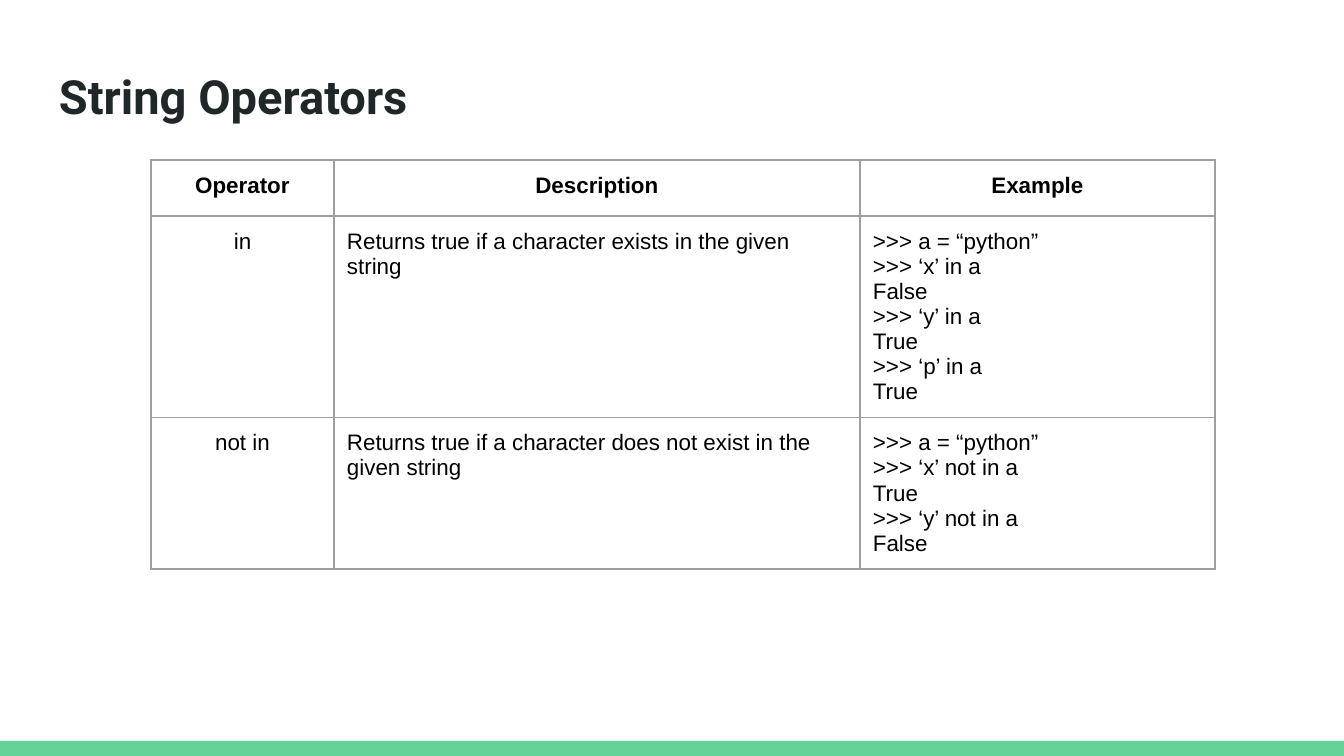
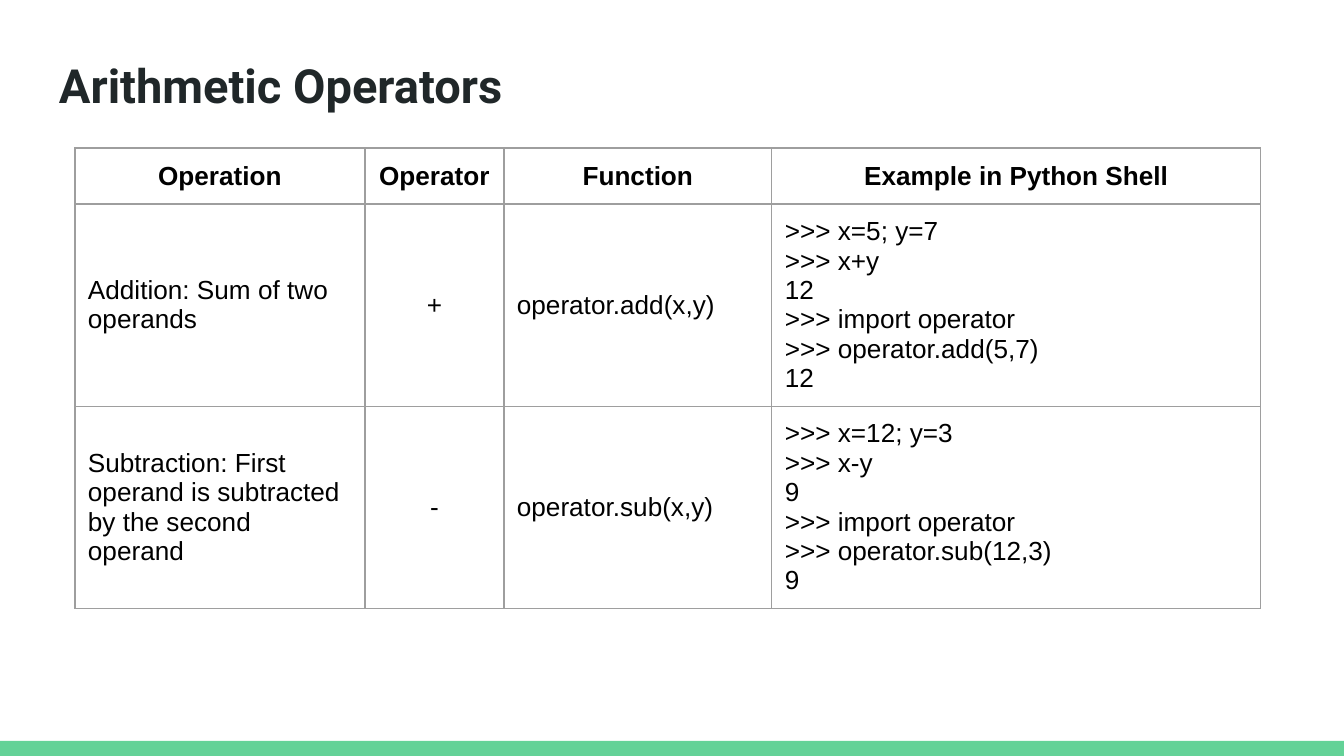
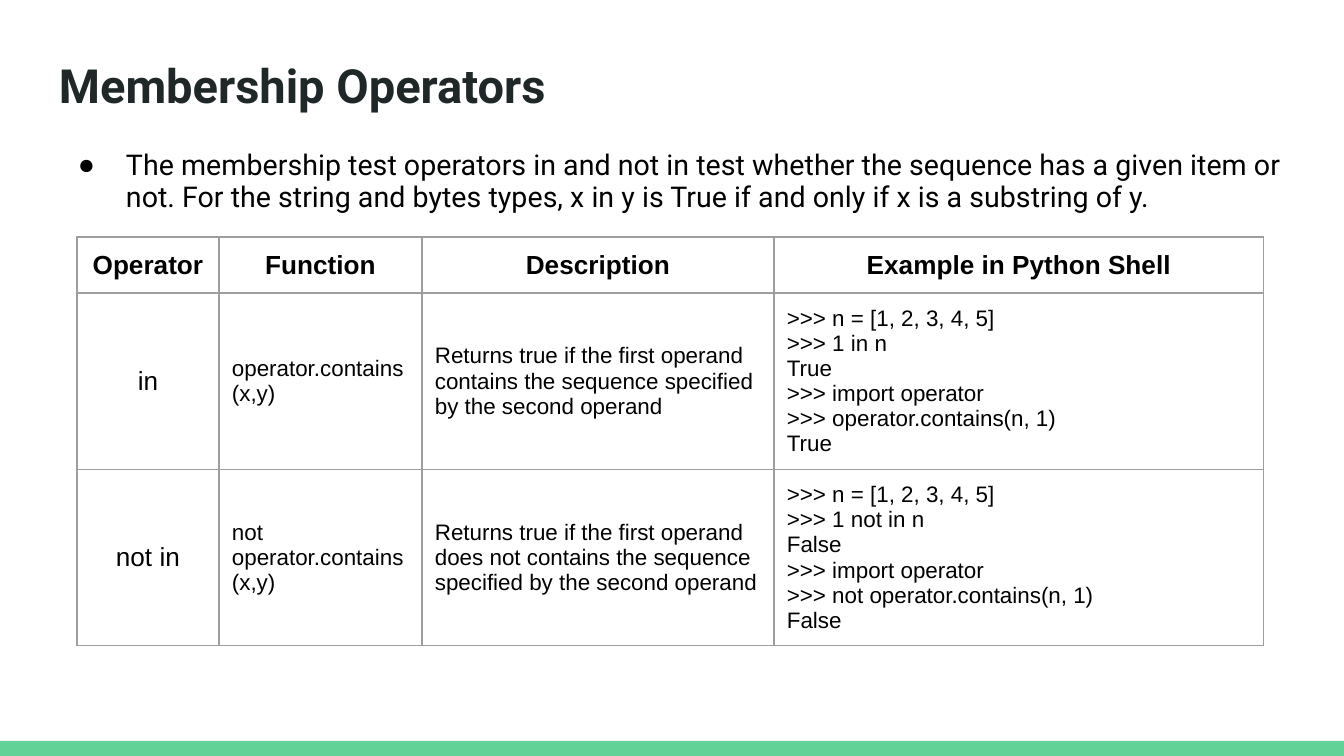
from lxml import etree
from pptx import Presentation
from pptx import util as u
from pptx.dml.color import RGBColor
from pptx.enum import shapes, text
from pptx.oxml.ns import qn

PX = 914400 / 134.4  # EMU in one px
WIDTH, HEIGHT = 1344, 756
BAND_H = 15
MARGIN_X, CONTENT_W = 46, 1253
TITLE_H, BODY_H = 85, 93
ROW_H = 56  # least height; rows grow with their text
INSET = 13

COLORS = {"band": "63D297", "title": "202729", "text": "000000", "border": "9E9E9E"}
FONTS = {"heading": "Roboto", "table": "Arial"}
TITLE_ONLY, TITLE_AND_BODY = 5, 1
MIDDLE, TOP = text.MSO_ANCHOR.MIDDLE, text.MSO_ANCHOR.TOP
LEFT, CENTER = text.PP_ALIGN.LEFT, text.PP_ALIGN.CENTER

# columns: heading, width, body text size, body alignment
SLIDES = [
    {
        "title": "String Operators",
        "title_top": 54,
        "table_at": (151, 160),
        "anchor": TOP,
        "heading_size": 12,
        "columns": [
            ("Operator", 183, 12, CENTER),
            ("Description", 526, 12, LEFT),
            ("Example", 355, 12, LEFT),
        ],
        "rows": [
            ("in", "Returns true if a character exists in the given string",
             ">>> a = “python”\n>>> ‘x’ in a\nFalse\n>>> ‘y’ in a\nTrue\n>>> ‘p’ in a\nTrue"),
            ("not in", "Returns true if a character does not exist in the given string",
             ">>> a = “python”\n>>> ‘x’ not in a\nTrue\n>>> ‘y’ not in a\nFalse"),
        ],
    },
    {
        "title": "Arithmetic Operators",
        "title_top": 43,
        "table_at": (75, 148),
        "anchor": MIDDLE,
        "heading_size": 14,
        "columns": [
            ("Operation", 290, 14, LEFT),
            ("Operator", 139, 14, CENTER),
            ("Function", 268, 14, LEFT),
            ("Example in Python Shell", 489, 14, LEFT),
        ],
        "rows": [
            ("Addition: Sum of two operands", "+", "operator.add(x,y)",
             ">>> x=5; y=7\n>>> x+y\n12\n>>> import operator\n>>> operator.add(5,7)\n12"),
            ("Subtraction: First operand is subtracted by the second operand", "-",
             "operator.sub(x,y)",
             ">>> x=12; y=3\n>>> x-y\n9\n>>> import operator\n>>> operator.sub(12,3)\n9"),
        ],
    },
    {
        "title": "Membership Operators",
        "title_top": 43,
        "body": "The membership test operators in and not in test whether the sequence has "
                "a given item or not. For the string and bytes types, x in y is True if and "
                "only if x is a substring of y.",
        "body_top": 136,
        "table_at": (77, 237),
        "anchor": MIDDLE,
        "heading_size": 14,
        "columns": [
            ("Operator", 142, 14, CENTER),
            ("Function", 203, 12, LEFT),
            ("Description", 352, 12, LEFT),
            ("Example in Python Shell", 490, 12, LEFT),
        ],
        "rows": [
            ("in", "operator.contains(x,y)",
             "Returns true if the first operand contains the sequence specified by the "
             "second operand",
             ">>> n = [1, 2, 3, 4, 5]\n>>> 1 in n\nTrue\n>>> import operator\n"
             ">>> operator.contains(n, 1)\nTrue"),
            ("not in", "not operator.contains(x,y)",
             "Returns true if the first operand does not contains the sequence specified "
             "by the second operand",
             ">>> n = [1, 2, 3, 4, 5]\n>>> 1 not in n\nFalse\n>>> import operator\n"
             ">>> not operator.contains(n, 1)\nFalse"),
        ],
    },
]


def px(n):
    return u.Emu(round(n * PX))


def add_run(p, words, font, size, color, bold=False):
    r = p.add_run()
    r.text = words
    r.font.name, r.font.size, r.font.bold = font, u.Pt(size), bold
    r.font.color.rgb = RGBColor.from_string(COLORS[color])


def place(sp, top, height):
    """Set a placeholder across the content width and return its first paragraph."""
    sp.left, sp.top, sp.width, sp.height = map(px, (MARGIN_X, top, CONTENT_W, height))
    tf = sp.text_frame
    tf.word_wrap = True
    tf.auto_size = text.MSO_AUTO_SIZE.NONE
    tf.vertical_anchor = TOP
    tf.margin_left = tf.margin_top = tf.margin_right = tf.margin_bottom = px(INSET)
    p = tf.paragraphs[0]
    p.alignment = LEFT
    p.space_before = u.Pt(0)
    return p


def add_bullet(p):
    pPr = p._p.get_or_add_pPr()
    pPr.set("marL", str(px(67)))
    pPr.set("indent", str(px(-48)))
    clr = etree.SubElement(pPr, qn("a:buClr"))
    etree.SubElement(clr, qn("a:srgbClr"), val=COLORS["text"])
    etree.SubElement(pPr, qn("a:buChar"), char="●")


def add_borders(cell):
    tcPr = cell._tc.get_or_add_tcPr()
    for side in "LRTB":
        ln = etree.SubElement(tcPr, qn(f"a:ln{side}"), w=str(u.Pt(0.75)))
        fill = etree.SubElement(ln, qn("a:solidFill"))
        etree.SubElement(fill, qn("a:srgbClr"), val=COLORS["border"])


def fill_cell(cell, words, size, align, anchor, bold):
    add_borders(cell)
    cell.fill.background()
    cell.vertical_anchor = anchor
    cell.margin_left = cell.margin_top = cell.margin_right = cell.margin_bottom = px(INSET)
    tf = cell.text_frame
    for i, line in enumerate(words.split("\n")):
        p = tf.add_paragraph() if i else tf.paragraphs[0]
        p.alignment = align
        add_run(p, line, FONTS["table"], size, "text", bold)


def add_operator_table(s, spec):
    columns = spec["columns"]
    headings, widths, sizes, aligns = zip(*columns)
    n_rows = len(spec["rows"]) + 1
    box = (*spec["table_at"], sum(widths), ROW_H * n_rows)
    table = s.shapes.add_table(n_rows, len(columns), *map(px, box)).table
    table.first_row = table.horz_banding = False
    for c, width in enumerate(widths):
        table.columns[c].width = px(width)
        fill_cell(table.cell(0, c), headings[c], spec["heading_size"], CENTER,
                  spec["anchor"], True)
        for r, row in enumerate(spec["rows"], 1):
            fill_cell(table.cell(r, c), row[c], sizes[c], aligns[c], spec["anchor"], False)


def add_master_band(prs, s):
    """Draw the bottom band on a slide, then move it to the master for all slides."""
    band = s.shapes.add_shape(shapes.MSO_SHAPE.RECTANGLE,
                              *map(px, (0, HEIGHT - BAND_H, WIDTH, BAND_H)))
    band.shadow.inherit = False
    band.fill.solid()
    band.fill.fore_color.rgb = RGBColor.from_string(COLORS["band"])
    band.line.fill.background()
    prs.slide_master.shapes.element.append(band.element)


def add_slide(prs, spec):
    layout = TITLE_AND_BODY if "body" in spec else TITLE_ONLY
    s = prs.slides.add_slide(prs.slide_layouts[layout])
    p = place(s.shapes.title, spec["title_top"], TITLE_H)
    add_run(p, spec["title"], FONTS["heading"], 25.2, "title", True)
    if "body" in spec:
        p = place(s.placeholders[1], spec["body_top"], BODY_H)
        add_bullet(p)
        p.line_spacing = 0.95
        add_run(p, spec["body"], FONTS["heading"], 15.3, "text")
    add_operator_table(s, spec)
    return s


def main():
    prs = Presentation()
    prs.slide_width, prs.slide_height = px(WIDTH), px(HEIGHT)
    slides = [add_slide(prs, spec) for spec in SLIDES]
    add_master_band(prs, slides[0])
    prs.save("out.pptx")


if __name__ == "__main__":
    main()
